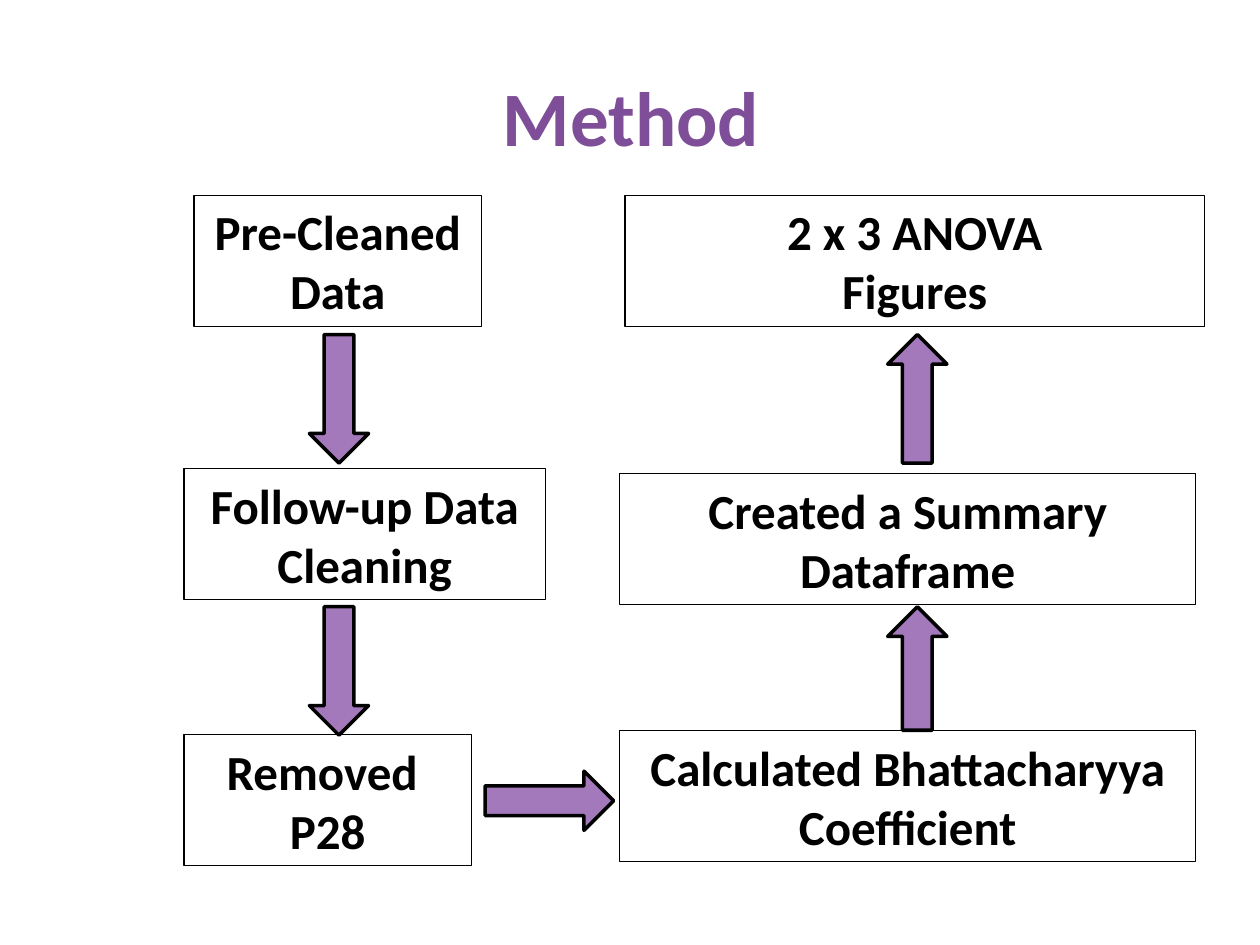
import pptx
import pptx.util
import pptx.dml.color
import pptx.enum.shapes
import pptx.enum.text

Pt = pptx.util.Pt
SHAPE = pptx.enum.shapes.MSO_SHAPE

COLORS = {"title": "7E4E99", "arrow": "A379BB", "ink": "000000"}
FONT = "Calibri"
BOX_H = 74.9
ARROW_H = 33.84
ARROW_W = 73.44
DOWN, RIGHT, UP = 90, 0, 270

# left, top, width, paragraphs
STEPS = [
    (110.9, 111.6, 164.2, ["Pre-Cleaned Data"]),
    (105.1, 267.8, 206.6, ["Follow-up Data Cleaning"]),
    (105.1, 419.8, 164.2, ["Removed ", "P28"]),
    (354.2, 417.6, 329, ["Calculated Bhattacharyya Coefficient"]),
    (354.2, 270.7, 329, ["Created a Summary Dataframe"]),
    (357.1, 111.6, 331.2, ["2 x 3 ANOVA", "Figures"]),
]

# centre x, centre y, length, rotation
ARROWS = [
    (193.7, 227.9, ARROW_W, DOWN),
    (193.7, 383.4, ARROW_W, DOWN),
    (313.9, 457.6, ARROW_W, RIGHT),
    (524.2, 382, 70.56, UP),
    (524.2, 227.9, ARROW_W, UP),
]


def rgb(name):
    return pptx.dml.color.RGBColor.from_string(COLORS[name])


def set_text(sp, lines, size, color):
    tf = sp.text_frame
    tf.word_wrap = True
    tf.vertical_anchor = pptx.enum.text.MSO_ANCHOR.MIDDLE
    for i, line in enumerate(lines):
        p = tf.add_paragraph() if i else tf.paragraphs[0]
        p.alignment = pptx.enum.text.PP_ALIGN.CENTER
        r = p.add_run()
        r.text = line
        r.font.name = FONT
        r.font.size = Pt(size)
        r.font.bold = True
        r.font.color.rgb = rgb(color)
    return tf


def add_title(s, text):
    sp = s.shapes.add_textbox(Pt(36.7), Pt(20.9), Pt(648), Pt(90))
    set_text(sp, [text], 44, "title")


def add_outlined(s, kind, left, top, width, height, line_width):
    sp = s.shapes.add_shape(kind, Pt(left), Pt(top), Pt(width), Pt(height))
    sp.shadow.inherit = False
    sp.line.color.rgb = rgb("ink")
    sp.line.width = Pt(line_width)
    return sp


def add_step(s, left, top, width, lines):
    sp = add_outlined(s, SHAPE.RECTANGLE, left, top, width, BOX_H, 0.75)
    sp.fill.background()
    tf = set_text(sp, lines, 28, "ink")
    tf.auto_size = pptx.enum.text.MSO_AUTO_SIZE.SHAPE_TO_FIT_TEXT


def add_arrow(s, cx, cy, length, rotation):
    sp = add_outlined(s, SHAPE.RIGHT_ARROW, cx - length / 2, cy - ARROW_H / 2,
                      length, ARROW_H, 2)
    sp.rotation = rotation
    sp.fill.solid()
    sp.fill.fore_color.rgb = rgb("arrow")


def main():
    prs = pptx.Presentation()
    prs.slide_width, prs.slide_height = Pt(720), Pt(540)
    s = prs.slides.add_slide(prs.slide_layouts[6])

    # Heading
    add_title(s, "Method")

    # Steps: down the left column, then up the right one
    for step in STEPS:
        add_step(s, *step)

    # Block arrows between the steps
    for arrow in ARROWS:
        add_arrow(s, *arrow)

    prs.save("out.pptx")


if __name__ == "__main__":
    main()
